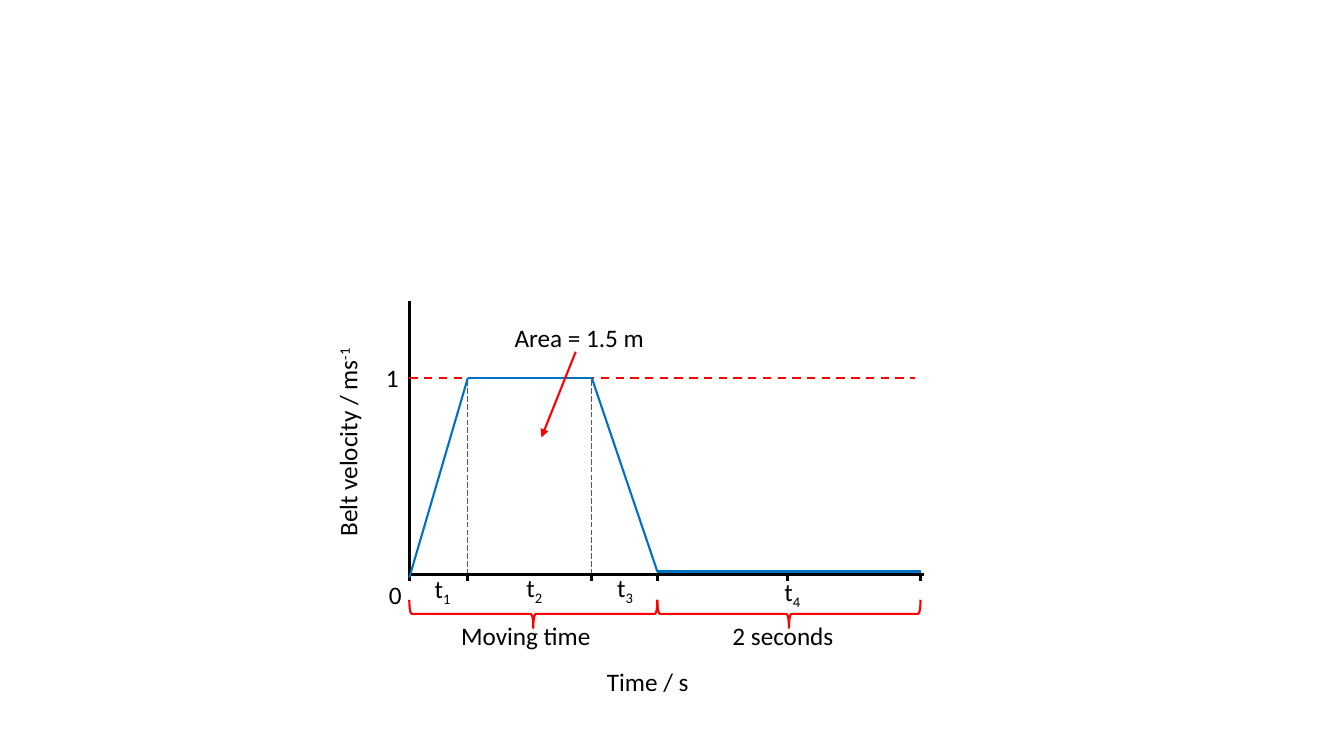
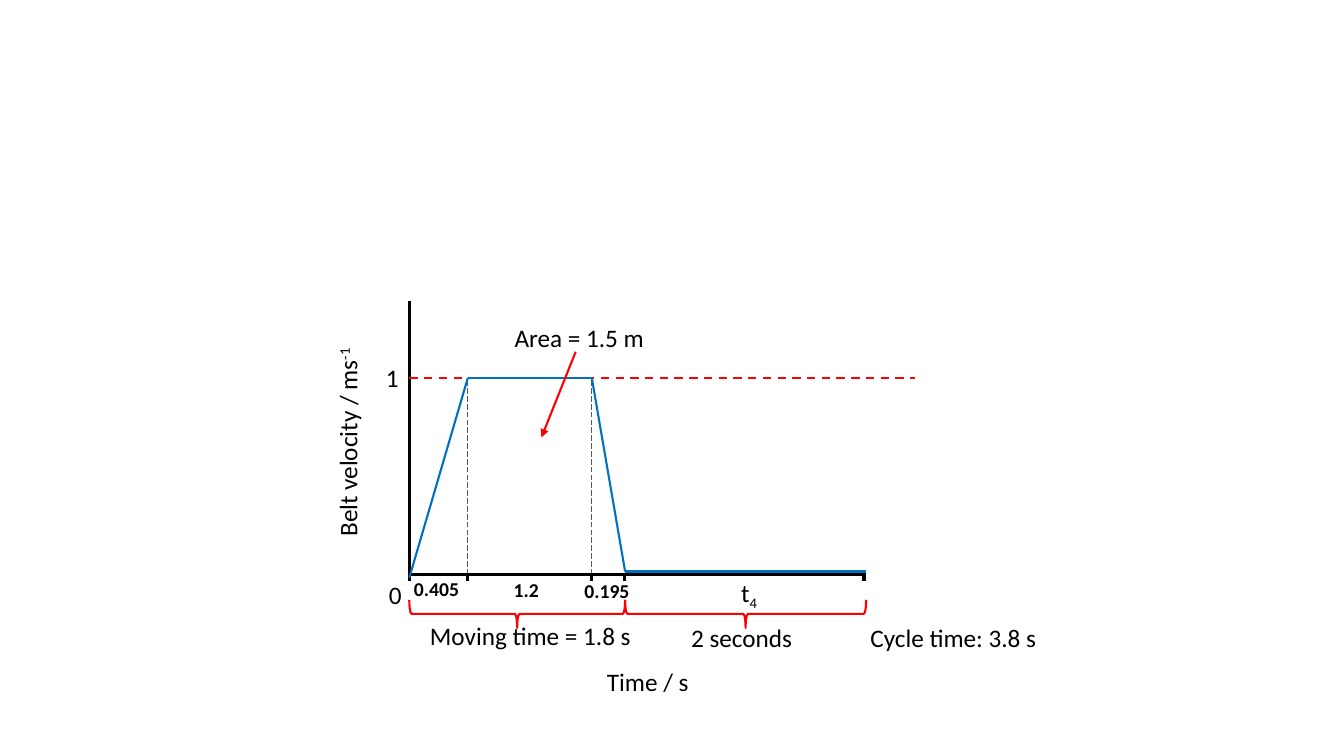
import itertools

import pptx
import pptx.dml.color
import pptx.enum.dml
import pptx.enum.shapes
import pptx.enum.text
import pptx.oxml.ns
import pptx.util
from lxml import etree

Inches = pptx.util.Inches
RGBColor = pptx.dml.color.RGBColor
Dash = pptx.enum.dml.MSO_LINE_DASH_STYLE
Align = pptx.enum.text.PP_ALIGN

BLACK = RGBColor(0x00, 0x00, 0x00)
GREY = RGBColor(0x59, 0x59, 0x59)
BLUE = RGBColor(0x00, 0x70, 0xC0)
RED = RGBColor(0xFF, 0x00, 0x00)

ORIGIN_X, AXIS_Y = 4.06, 5.7
TOP_SPEED_Y, REST_Y = 3.75, 5.67
RAMP_END, CRUISE_END = 4.64, 5.87


class VelocityGraphs:
    """Draws belt velocity graphs in one shared style, one per page."""

    font_name = "Calibri"
    subscript, superscript = -25, 30

    def __init__(self):
        self.deck = pptx.Presentation()
        self.deck.slide_width = Inches(13.33)
        self.deck.slide_height = Inches(7.5)
        self.page = None

    def add_page(self):
        self.page = self.deck.slides.add_slide(self.deck.slide_layouts[6])

    def line(self, start, end, color, width, dash=None, arrow=False):
        line = self.page.shapes.add_connector(
            pptx.enum.shapes.MSO_CONNECTOR.STRAIGHT,
            *(Inches(length) for length in (*start, *end)))
        line.line.color.rgb = color
        line.line.width = pptx.util.Pt(width)
        if dash:
            line.line.dash_style = dash
        qn = pptx.oxml.ns.qn
        properties = line._element.spPr
        if arrow:
            etree.SubElement(properties.find(qn("a:ln")), qn("a:tailEnd"), type="triangle")
        etree.SubElement(properties, qn("a:effectLst"))

    def label(self, text, left, top, width=2.19, height=0.4, script="", baseline=0,
              size=18, bold=False, align=Align.CENTER, rotation=0):
        box = self.page.shapes.add_textbox(
            Inches(left), Inches(top), Inches(width), Inches(height))
        box.rotation = rotation
        frame = box.text_frame
        frame.word_wrap = True
        frame.auto_size = pptx.enum.text.MSO_AUTO_SIZE.SHAPE_TO_FIT_TEXT
        para = frame.paragraphs[0]
        para.alignment = align
        para.add_run().text = text
        if script:
            span = para.add_run()
            span.text = script
            span._r.get_or_add_rPr().set("baseline", str(baseline * 1000))
        para.font.name = self.font_name
        para.font.size = pptx.util.Pt(size)
        para.font.bold = bold
        para.font.color.rgb = BLACK

    def period(self, number, left, top):
        self.label("t", left, top, width=0.5, script=number, baseline=self.subscript)

    def duration(self, seconds, left, top):
        self.label(seconds, left, top, width=1.06, height=0.34, size=14, bold=True)

    def brace(self, start, end):
        depth, middle_y = 0.28, 6.09
        span = end - start
        brace = self.page.shapes.add_shape(
            pptx.enum.shapes.MSO_SHAPE.LEFT_BRACE,
            Inches((start + end - depth) / 2), Inches(middle_y - span / 2),
            Inches(depth), Inches(span))
        brace.rotation = 270
        brace.adjustments[0] = 0.08
        brace.adjustments[1] = 0.5
        brace.shadow.inherit = False
        brace.fill.background()
        brace.line.color.rgb = RED
        brace.line.width = pptx.util.Pt(1.5)

    def graph(self, stop, end, axis_end, ticks):
        for x in (RAMP_END, CRUISE_END):
            self.line((x, AXIS_Y), (x, TOP_SPEED_Y), GREY, 0.5, Dash.LONG_DASH)
        self.line((ORIGIN_X, 2.99), (ORIGIN_X, AXIS_Y), BLACK, 2.25)
        self.line((ORIGIN_X, AXIS_Y), (axis_end, AXIS_Y), BLACK, 2.25)
        self.line((ORIGIN_X, TOP_SPEED_Y), (9.08, TOP_SPEED_Y), RED, 1.5, Dash.DASH)
        for x in (ORIGIN_X, RAMP_END, CRUISE_END, *ticks):
            self.line((x, AXIS_Y), (x, AXIS_Y + 0.06), BLACK, 2.25)
        curve = [(ORIGIN_X, 5.73), (RAMP_END, TOP_SPEED_Y), (CRUISE_END, TOP_SPEED_Y),
                 (stop, REST_Y), (end, REST_Y)]
        for start, finish in itertools.pairwise(curve):
            self.line(start, finish, BLUE, 1.5)
        self.label("1", 3.73, 3.55, width=0.27, align=Align.LEFT)
        self.label("0", 3.76, 5.7, width=0.27, align=Align.LEFT)
        self.label("Belt velocity / ms", 2.14, 4.19, width=2.61, script="-1",
                   baseline=self.superscript, rotation=270)
        self.label("Time / s", 5.12, 6.56, width=2.61)
        self.brace(stop, end)
        self.line((5.71, 3.49), (5.37, 4.34), RED, 1.5, arrow=True)
        self.label("Area = 1.5 m", 4.65, 3.15)
        self.brace(ORIGIN_X, stop)


def main():
    graphs = VelocityGraphs()

    graphs.add_page()
    graphs.graph(stop=6.52, end=9.13, axis_end=9.16, ticks=(6.52, 7.81, 9.13))
    for number, left, top in (("1", 4.14, 5.64), ("2", 5.05, 5.63),
                              ("3", 5.95, 5.63), ("4", 7.61, 5.67)):
        graphs.period(number, left, top)
    graphs.label("Moving time", 4.12, 6.11)
    graphs.label("2 seconds", 6.67, 6.11)

    graphs.add_page()
    graphs.graph(stop=6.2, end=8.59, axis_end=8.59, ticks=(6.19, 8.57))
    for seconds, left, top in (("0.405", 3.8, 5.67), ("1.2", 4.69, 5.68),
                               ("0.195", 5.49, 5.69)):
        graphs.duration(seconds, left, top)
    graphs.period("4", 7.18, 5.68)
    graphs.label("Moving time = 1.8 s", 4.12, 6.11, width=2.28)
    graphs.label("2 seconds", 6.26, 6.12)
    graphs.label("Cycle time: 3.8 s", 8.36, 6.12)

    graphs.deck.save("out.pptx")


if __name__ == "__main__":
    main()
